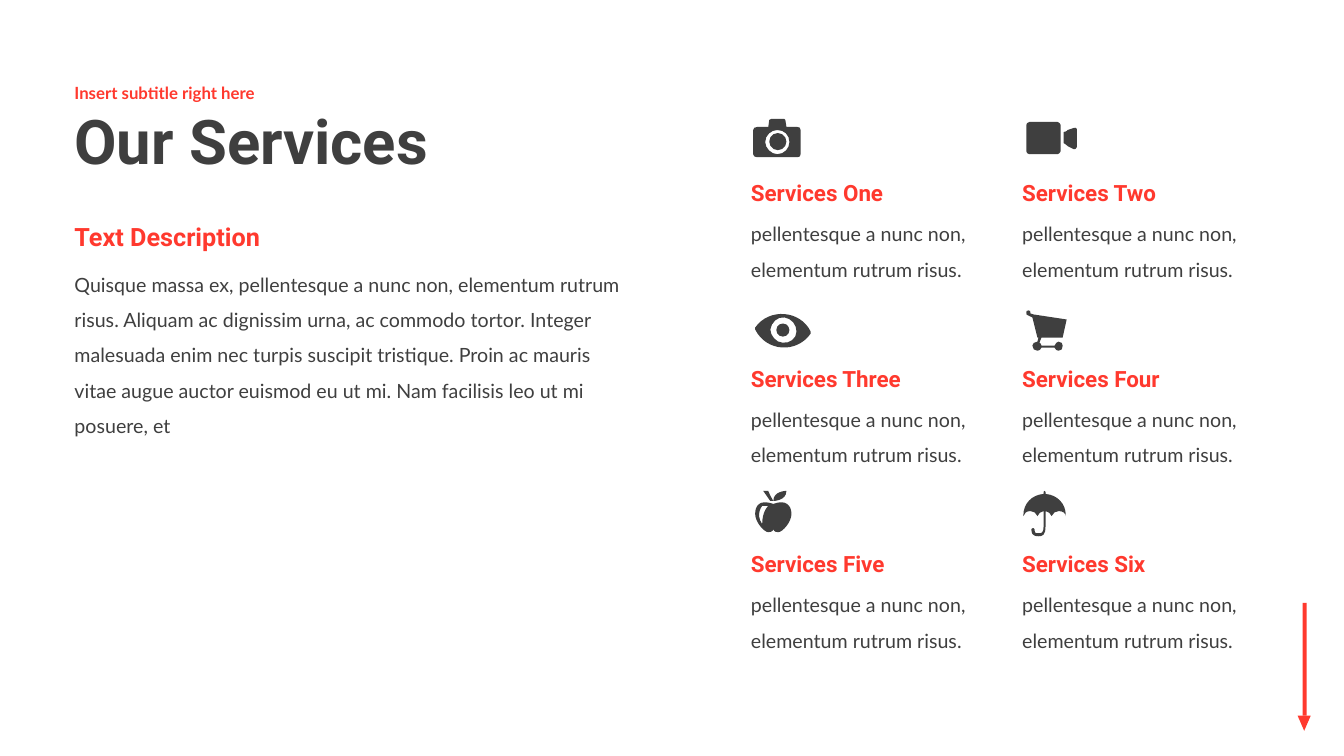
from pptx import Presentation
from pptx.dml.color import RGBColor
from pptx.enum.shapes import MSO_SHAPE as Shape
from pptx.enum.text import MSO_ANCHOR as Anchor, MSO_AUTO_SIZE as AutoSize
from pptx.oxml.ns import qn
from pptx.oxml.xmlchemy import OxmlElement
from pptx.util import Inches, Pt

# Content
RED, DARK = "FF392E", "3F3F3F"
DESCRIPTION = (
    "Quisque massa ex, pellentesque a nunc non, elementum rutrum risus. "
    "Aliquam ac dignissim urna, ac commodo tortor. Integer malesuada enim nec "
    "turpis suscipit tristique. Proin ac mauris vitae augue auctor euismod eu "
    "ut mi. Nam facilisis leo ut mi posuere, et"
)
SERVICE_TEXT = "pellentesque a nunc non, elementum rutrum risus."

FORMATS = {
    "title": ({"size": Pt(44), "name": "Roboto", "bold": True}, DARK, 0.9),
    "subtitle": ({"size": Pt(12), "name": "Lato", "bold": True}, RED, 0.9),
    "heading": ({"size": Pt(18), "name": "Roboto", "bold": True}, RED, 1.0),
    "service": ({"size": Pt(16), "name": "Roboto", "bold": True}, RED, 1.0),
    "body": ({"size": Pt(14), "name": "Lato", "bold": False}, DARK, 1.5),
}

INTRO = [  # text, format, left, top, width, height, anchor
    ("Our Services", "title", 0.64, 0.92, 7.5, 1.03, Anchor.MIDDLE),
    ("Insert subtitle right here", "subtitle", 0.64, 0.74, 7.5, 0.38, Anchor.MIDDLE),
    (DESCRIPTION, "body", 0.64, 2.54, 5.65, 1.48, Anchor.TOP),
    ("Text Description", "heading", 0.64, 2.15, 2.92, 0.4, Anchor.TOP),
]

# Icon outlines in hundredths of an inch from the cell corner:
# M starts a contour, L draws a line, C draws a Bezier curve
CAMERA = [
    "M 56 9 L 45 9 L 44 2 C 44 1 43 1 43 1 L 30 1 C 29 1 29 1 28 2 L 27 9 "
    "L 16 9 C 14 9 12 10 12 12 L 12 36 C 12 38 14 39 16 39 L 56 39 "
    "C 58 39 59 38 59 36 L 59 12 C 59 10 58 9 56 9 "
    "M 36 36 C 30 36 24 30 24 24 C 24 17 30 12 36 12 "
    "C 43 12 48 17 48 24 C 48 30 43 36 36 36",
]
VIDEO = [
    "M 45 4 L 17 4 C 15 4 14 6 14 7 L 14 33 C 14 34 15 36 17 36 L 45 36 "
    "C 46 36 48 34 48 33 L 48 7 C 48 6 46 4 45 4",
    "M 61 10 L 55 12 C 54 13 53 14 51 14 L 51 25 C 53 26 54 27 55 28 L 61 31 "
    "C 62 31 64 31 64 29 L 64 11 C 64 10 62 9 61 10",
]
EYE = [
    "M 14 24 L 14 26 C 25 48 55 50 69 30 L 69 28 C 59 7 28 4 14 24 "
    "M 41 39 C 35 39 29 32 29 26 C 30 19 36 13 43 14 "
    "C 50 15 55 21 55 28 C 55 35 48 40 41 39",
]
CART = [
    "M 46 38 C 44 38 43 40 42 42 L 29 42 C 29 40 28 40 27 39 L 29 34 L 50 34 "
    "L 54 16 L 21 11 L 18 10 L 18 9 C 18 8 18 7 16 7 C 14 7 14 8 14 9 "
    "C 14 11 14 12 16 12 L 20 14 L 25 34 L 26 34 L 25 38 C 22 38 20 40 20 42 "
    "C 20 45 22 47 25 47 C 27 47 28 46 29 44 L 42 44 C 43 46 44 47 46 47 "
    "C 49 47 50 45 50 42 C 50 40 49 38 46 38",
]
APPLE = [
    "M 32 15 C 18 10 14 17 14 25 C 14 33 23 43 27 43 C 32 43 32 40 32 40 "
    "C 32 40 32 43 37 43 C 41 43 50 33 50 25 C 50 17 45 10 32 15 "
    "M 21 35 C 14 25 21 17 21 17 L 27 17 C 27 17 21 22 21 35",
    "M 32 12 C 29 7 27 2 27 2 L 22 2 L 29 12",
    "M 45 2 C 45 2 32 2 32 12 C 32 12 45 12 45 2",
]
UMBRELLA = [
    "M 33 5 L 33 3 C 33 3 33 2 32 2 C 31 2 31 3 31 3 L 31 5 "
    "C 19 6 11 15 11 26 L 11 27 C 12 24 14 22 18 22 C 21 22 24 24 25 27 "
    "C 26 25 28 22 31 22 L 31 37 C 31 44 29 44 26 44 C 22 44 22 43 22 40 "
    "C 22 39 21 39 21 39 C 20 39 19 39 19 40 C 19 43 19 47 26 47 "
    "C 30 47 33 46 33 37 L 33 22 C 36 22 38 25 39 27 C 40 24 43 22 46 22 "
    "C 50 22 53 24 53 27 L 53 26 C 53 15 45 6 33 5",
]

SERVICES = [  # heading, outlines, round centre (left, top, size) in inches
    ("Services One", CAMERA, (0.28, 0.15, 0.17)),
    ("Services Two", VIDEO, None),
    ("Services Three", EYE, (0.35, 0.2, 0.13)),
    ("Services Four", CART, None),
    ("Services Five", APPLE, None),
    ("Services Six", UMBRELLA, None),
]
COLUMNS, GRID_LEFT, GRID_TOP = 2, 7.35, 1.17
COLUMN_STEP, ROW_STEP = 2.69, 1.84

prs = Presentation()
prs.slide_width, prs.slide_height = Inches(13.33), Inches(7.5)
slide = prs.slides.add_slide(prs.slide_layouts[6])


def rgb(value):
    return RGBColor.from_string(value)


def paint(shape, color):
    shape.shadow.inherit = False
    shape.fill.solid()
    shape.fill.fore_color.rgb = rgb(color)
    shape.line.fill.background()


def add_preset(kind, left, top, width, height, color):
    shape = slide.shapes.add_shape(kind, *map(Inches, (left, top, width, height)))
    paint(shape, color)
    return shape


def add_text(text, style, left, top, width, height, anchor=Anchor.TOP):
    font_values, color, spacing = FORMATS[style]
    frame = slide.shapes.add_textbox(*map(Inches, (left, top, width, height))).text_frame
    frame.word_wrap = True
    frame.vertical_anchor = anchor
    if anchor == Anchor.TOP:
        frame.auto_size = AutoSize.SHAPE_TO_FIT_TEXT
    paragraph = frame.paragraphs[0]
    paragraph.line_spacing = spacing
    run = paragraph.add_run()
    run.text = text
    for key, value in font_values.items():
        setattr(run.font, key, value)
    run.font.color.rgb = rgb(color)


def bend(shape, commands):
    """Turn the three lines that stand for each C command into one curve."""
    lines = iter(list(shape.element.iter(qn("a:lnTo"))))
    for command in commands:
        line = next(lines)
        if command == "C":
            curve = OxmlElement("a:cubicBezTo")
            line.addprevious(curve)
            for part in (line, next(lines), next(lines)):
                curve.append(part[0])
                part.getparent().remove(part)


def add_outline(outline, left, top):
    builder = None
    for contour in outline.split("M")[1:]:
        numbers = [float(token) / 100 for token in contour.split() if token.isdigit()]
        points = [(Inches(left + x), Inches(top + y))
                  for x, y in zip(numbers[::2], numbers[1::2])]
        if builder is None:
            builder = slide.shapes.build_freeform(*points[0])
        else:
            builder.move_to(*points[0])
        builder.add_line_segments(points[1:], close=True)
    shape = builder.convert_to_shape()
    bend(shape, [token for token in outline.split() if token in "LC"])
    paint(shape, DARK)


# Down arrow at the right edge
add_preset(Shape.RECTANGLE, 12.92, 5.98, 0.04, 1.12, RED)
add_preset(Shape.ISOSCELES_TRIANGLE, 12.87, 7.1, 0.13, 0.15, RED).rotation = 180

# Title and description
for intro in INTRO:
    add_text(*intro)

# Grid of services
for index, (heading, icon, centre) in enumerate(SERVICES):
    row, column = divmod(index, COLUMNS)
    left, top = GRID_LEFT + column * COLUMN_STEP, GRID_TOP + row * ROW_STEP
    for outline in icon:
        add_outline(outline, left, top)
    if centre:
        x, y, size = centre
        add_preset(Shape.OVAL, left + x, top + y, size, size, DARK)
    add_text(SERVICE_TEXT, "body", left, top + 0.87, 2.57, 0.77)
    add_text(heading, "service", left, top + 0.56, 2.17, 0.37)

prs.save("out.pptx")
